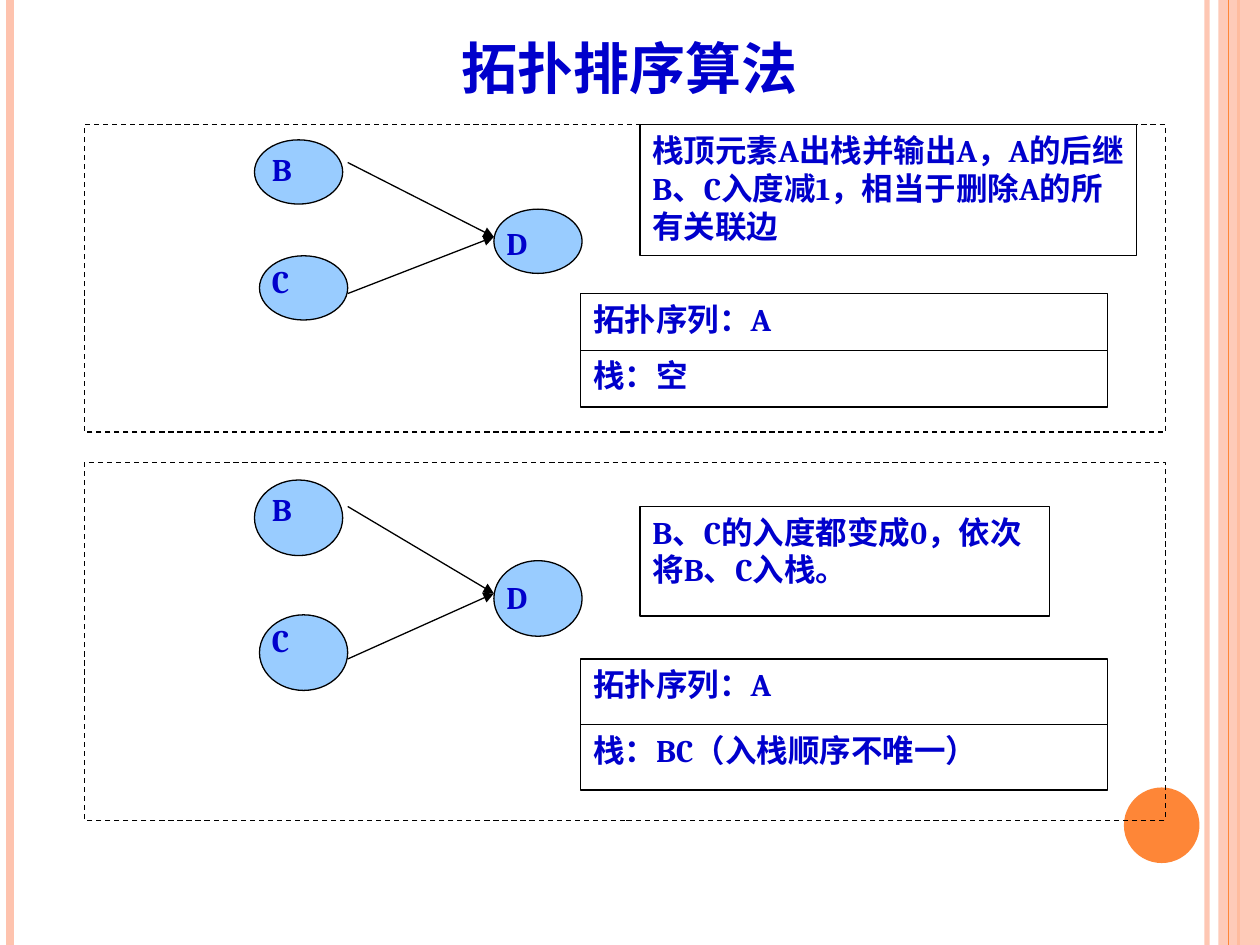
from dataclasses import dataclass

from pptx import Presentation
from pptx.dml.color import RGBColor
from pptx.enum.dml import MSO_LINE_DASH_STYLE as Dash
from pptx.enum.shapes import MSO_CONNECTOR as Connector, MSO_SHAPE as Preset
from pptx.enum.text import MSO_ANCHOR as Anchor, MSO_AUTO_SIZE as AutoSize, PP_ALIGN as Align
from pptx.oxml.ns import qn
from pptx.util import Emu, Pt

PX = 9144  # 100 px to the inch


@dataclass(frozen=True)
class Theme:
    text: str = "0000CC"
    node: str = "99CCFF"
    line: str = "000000"
    paper: str = "FFFFFF"
    orange: str = "FE8637"
    peach: str = "FEC3AE"
    font: str = "Cambria"
    title_size: int = 32
    body_size: int = 18
    line_width: float = 0.75


@dataclass(frozen=True)
class Stripe:
    x: int
    color: str
    width: float
    opacity: int = 100


@dataclass(frozen=True)
class Node:
    """Vertical places are counted in panel rows."""
    name: str
    x: int
    top: float
    label_x: int
    label_top: float


@dataclass(frozen=True)
class Panel:
    top: int
    height: int
    note: str
    note_top: int
    note_width: int
    note_rows: int
    table: tuple[str, ...]

    def y(self, row: float) -> int:
        return self.top + self.span(row)

    def span(self, rows: float) -> int:
        return round(self.height * rows / PANEL_ROWS)


THEME = Theme()
PANEL_ROWS = 16.4
NODES = (
    Node("D", 392, 4.5, 392, 5),
    Node("C", 206, 7, 206, 7),
    Node("B", 202, 0.8, 206, 1),
)
EDGE_START_ROWS = (2, 9)
EDGE_END_ROW = 6
STRIPES_BEHIND = (
    Stripe(958, THEME.peach, 3, 93),
    Stripe(8, THEME.peach, 4.5),
    Stripe(983, THEME.orange, 1.5),
)
STRIPE_FRONT = Stripe(975, THEME.orange, 0.75)
PANELS = (
    Panel(99, 244, "栈顶元素A出栈并输出A，A的后继B、C入度减1，相当于删除A的所有关联边",
          0, 394, 7, ("拓扑序列：A", "栈：空")),
    Panel(367, 284, "B、C的入度都变成0，依次将B、C入栈。",
          2, 325, 5, ("拓扑序列：A", "栈：BC（入栈顺序不唯一）")),
)


def px(*lengths: int) -> list[Emu]:
    return [Emu(length * PX) for length in lengths]


def rgb(color: str) -> RGBColor:
    return RGBColor.from_string(color)


def set_opacity(fill_parent, percent: int) -> None:
    color = next(fill_parent.iter(qn("a:srgbClr")))
    color.makeelement(qn("a:alpha"))
    alpha = color.makeelement(qn("a:alpha"), {"val": str(percent * 1000)})
    color.append(alpha)


def add_text(shape, text: str, size: int = THEME.body_size, align=Align.LEFT, anchor=Anchor.TOP) -> None:
    frame = shape.text_frame
    frame.word_wrap = True
    frame.auto_size = AutoSize.NONE
    frame.vertical_anchor = anchor
    frame.margin_left, frame.margin_right, frame.margin_top, frame.margin_bottom = px(10, 10, 5, 5)
    para = frame.paragraphs[0]
    para.alignment = align
    span = para.add_run()
    span.text = text
    span.font.name = THEME.font
    span.font.size = Pt(size)
    span.font.bold = True
    span.font.color.rgb = rgb(THEME.text)


def add_preset(shapes, preset, x: int, y: int, width: int, height: int,
               fill: str | None = None, outline: str | None = THEME.line):
    shape = shapes.add_shape(preset, *px(x, y, width, height))
    shape.shadow.inherit = False
    if fill:
        shape.fill.solid()
        shape.fill.fore_color.rgb = rgb(fill)
    else:
        shape.fill.background()
    if outline:
        shape.line.color.rgb = rgb(outline)
        shape.line.width = Pt(THEME.line_width)
    else:
        shape.line.fill.background()
    return shape


def add_line(shapes, x1: int, y1: int, x2: int, y2: int, color: str, width: float):
    line = shapes.add_connector(Connector.STRAIGHT, *px(x1, y1, x2, y2))
    line.line.color.rgb = rgb(color)
    line.line.width = Pt(width)
    properties = line._element.spPr
    properties.append(properties.makeelement(qn("a:effectLst")))
    return line


def add_stripe(shapes, stripe: Stripe) -> None:
    line = add_line(shapes, stripe.x, 0, stripe.x, 750, stripe.color, stripe.width)
    if stripe.opacity < 100:
        set_opacity(line.line._get_or_add_ln(), stripe.opacity)


def add_arrow(shapes, x1: int, y1: int, x2: int, y2: int) -> None:
    outline = add_line(shapes, x1, y1, x2, y2, THEME.line, THEME.line_width).line._get_or_add_ln()
    outline.append(outline.makeelement(qn("a:tailEnd"), {"type": "triangle"}))


def add_box(shapes, x: int, y: int, width: int, height: int, text: str) -> None:
    add_text(add_preset(shapes, Preset.RECTANGLE, x, y, width, height, THEME.paper), text)


def add_panel(page, panel: Panel) -> None:
    shapes = page.shapes.add_group_shape().shapes
    frame = add_preset(shapes, Preset.RECTANGLE, 67, panel.top, 858, panel.height)
    frame.line.dash_style = Dash.DASH

    # Graph
    for node in NODES:
        add_preset(shapes, Preset.OVAL, node.x, panel.y(node.top), 70, panel.span(3.45), THEME.node)
    for node in NODES:
        label = shapes.add_textbox(*px(node.label_x, panel.y(node.label_top), 60, panel.span(3)))
        add_text(label, node.name)
    for row in EDGE_START_ROWS:
        add_arrow(shapes, 276, panel.y(row), 392, panel.y(EDGE_END_ROW))

    # Note and state of the algorithm
    add_box(shapes, 508, panel.y(panel.note_top), panel.note_width, panel.span(panel.note_rows), panel.note)
    for index, text in enumerate(panel.table):
        add_box(shapes, 461, panel.y(9 + 3 * index), 418, panel.span(3), text)


def main() -> None:
    deck = Presentation()
    deck.slide_width, deck.slide_height = px(1000, 750)
    page = deck.slides.add_slide(deck.slide_layouts[5])

    # Side decoration
    for stripe in STRIPES_BEHIND:
        add_stripe(page.shapes, stripe)
    band = add_preset(page.shapes, Preset.RECTANGLE, 967, 0, 33, 750, THEME.peach, None)
    set_opacity(band._element.spPr, 87)
    add_stripe(page.shapes, STRIPE_FRONT)
    add_preset(page.shapes, Preset.OVAL, 892, 625, 60, 60, THEME.orange, None)

    # Title
    title = page.shapes.title
    title.left, title.top, title.width, title.height = px(50, 21, 900, 64)
    add_text(title, "拓扑排序算法", THEME.title_size, Align.CENTER, Anchor.BOTTOM)

    # Two steps of the algorithm
    for panel in PANELS:
        add_panel(page, panel)

    deck.save("out.pptx")


if __name__ == "__main__":
    main()
